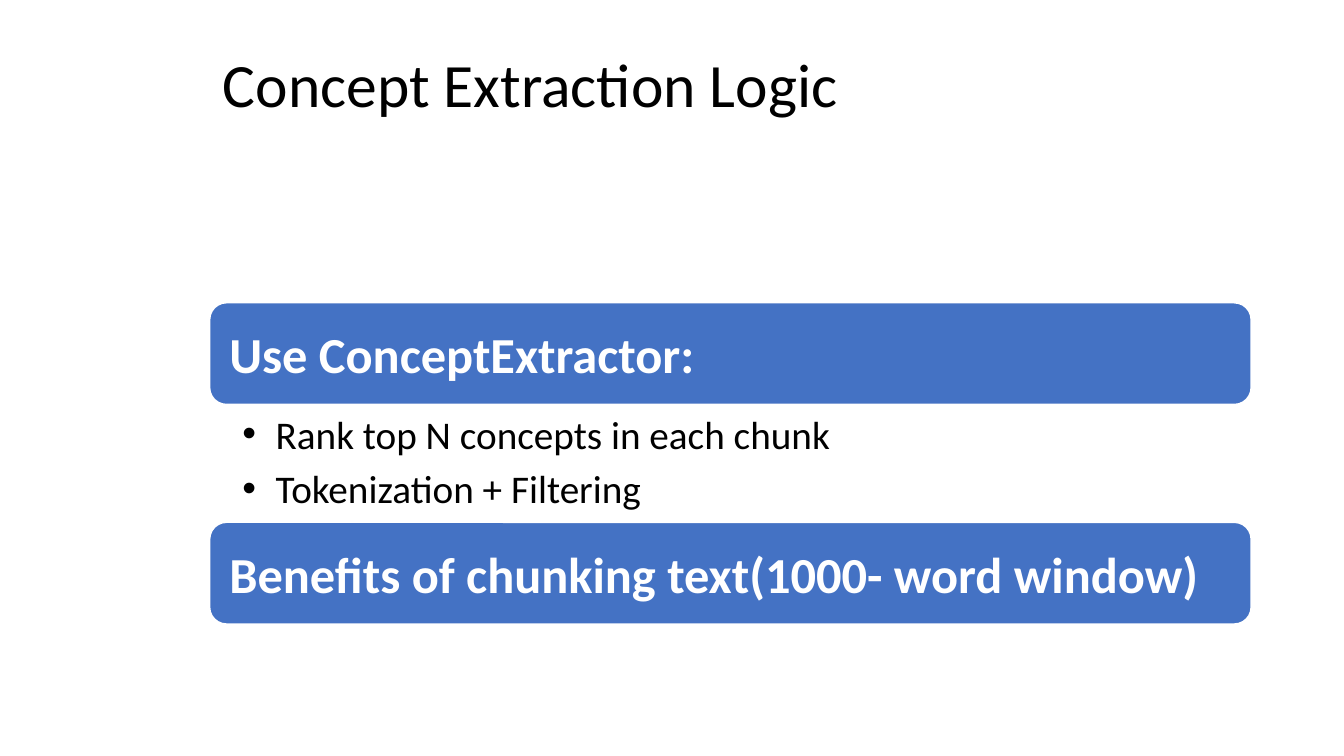
from lxml.etree import SubElement
from pptx import Presentation
from pptx.dml.color import RGBColor
from pptx.enum.shapes import MSO_SHAPE
from pptx.enum.text import MSO_ANCHOR, MSO_AUTO_SIZE, PP_ALIGN
from pptx.oxml.ns import qn
from pptx.util import Cm, Pt

COLORS = {"text": "000000", "bar": "4472C4", "white": "FFFFFF"}
LEFT, WIDTH = Cm(3.96), Cm(19.69)
BAR_HEIGHT = Cm(1.93)


def place(shape, top, height):
    shape.left, shape.top = LEFT, top
    shape.width, shape.height = WIDTH, height


def style(para, size, color, bold=False):
    para.alignment = PP_ALIGN.LEFT
    font = para.font
    font.name, font.size, font.bold = "Calibri", Pt(size), bold
    font.color.rgb = RGBColor.from_string(COLORS[color])


deck = Presentation()
deck.slide_width, deck.slide_height = Cm(25.4), Cm(14.29)
slide = deck.slides.add_slide(deck.slide_layouts[1])

# Title
title = slide.shapes.title
place(title, Cm(0.28), Cm(2.76))
frame = title.text_frame
frame.text = "Concept Extraction Logic"
frame.auto_size = MSO_AUTO_SIZE.NONE
frame.vertical_anchor = MSO_ANCHOR.MIDDLE
frame.paragraphs[0].line_spacing = 0.9
style(frame.paragraphs[0], 33, "text")

# Heading bars
headings = [
    (5.72, "Use ConceptExtractor:"),
    (9.87, "Benefits of chunking text(1000- word window)"),
]
for top, words in headings:
    bar = slide.shapes.add_shape(MSO_SHAPE.ROUNDED_RECTANGLE, 0, 0, 0, 0)
    place(bar, Cm(top), BAR_HEIGHT)
    bar.shadow.inherit = False
    bar.fill.solid()
    bar.fill.fore_color.rgb = RGBColor.from_string(COLORS["bar"])
    bar.line.color.rgb = RGBColor.from_string(COLORS["white"])
    bar.line.width = Pt(1)
    frame = bar.text_frame
    frame.text = words
    frame.word_wrap = True
    frame.vertical_anchor = MSO_ANCHOR.MIDDLE
    # The rounded corners already add about 0.1 cm of inset
    frame.margin_left = frame.margin_right = Cm(0.28)
    style(frame.paragraphs[0], 27, "white", bold=True)

# Bullet list between the bars
body = slide.placeholders[1]
place(body, Cm(5.72) + BAR_HEIGHT, Cm(2.22))
frame = body.text_frame
frame.text = "Rank top N concepts in each chunk\nTokenization + Filtering"
frame.auto_size = MSO_AUTO_SIZE.NONE
frame.vertical_anchor = MSO_ANCHOR.TOP
frame.margin_left, frame.margin_right = Cm(0.62), Cm(0.53)
frame.margin_top = frame.margin_bottom = Cm(0.1)
for para in frame.paragraphs:
    para.level = 1
    props = para._p.get_or_add_pPr()
    props.set("marL", str(Cm(0.63)))
    props.set("indent", str(-Cm(0.63)))
    SubElement(props, qn("a:buFont"), typeface="Arial")
    SubElement(props, qn("a:buChar"), char="•")
    para.space_before, para.space_after = Pt(0), Pt(4)
    style(para, 21, "text")

deck.save("out.pptx")
